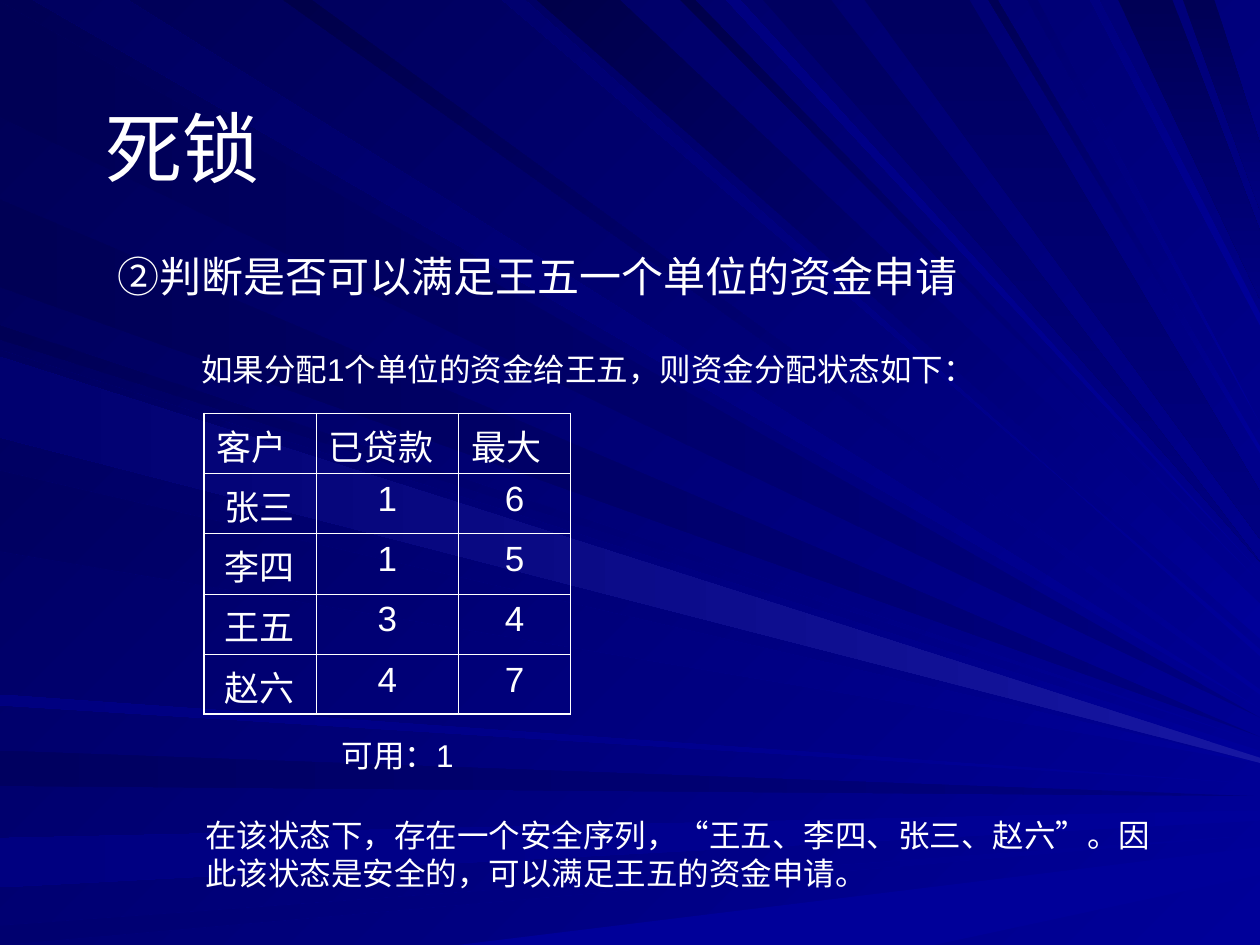
"""Build the deadlock slide: a safe-state check for one more unit lent to a customer."""
from dataclasses import dataclass
from typing import NamedTuple

import lxml.etree
import pptx
import pptx.dml.color
import pptx.enum.lang
import pptx.enum.text
import pptx.oxml.ns
import pptx.util

Pt = pptx.util.Pt
RGB = pptx.dml.color.RGBColor.from_string
ALIGN = pptx.enum.text.PP_ALIGN
FIT = pptx.enum.text.MSO_AUTO_SIZE
qn = pptx.oxml.ns.qn


@dataclass(frozen=True)
class Theme:
    """Colours, fonts, type sizes and line widths."""
    text: str = "FFFFFF"
    glow: str = "1717A2"
    bright: str = "000099"
    mid: str = "000080"
    soft: str = "00006F"
    dusk: str = "000060"
    dark: str = "000055"
    deep: str = "00004A"
    latin: str = "Arial"
    cjk: str = "Noto Sans CJK SC"
    title: float = 44
    body: float = 24
    table: float = 20
    note: float = 18
    outer_line: float = 1.08
    inner_line: float = 0.45


THEME = Theme()
WIDTH, HEIGHT = 720, 540
WEST, NORTHWEST, SOUTH = 180, 135, 270


class Ray(NamedTuple):
    """A beam from a slide edge to one or two heights on the right edge."""
    edge: str
    near: tuple
    far: tuple
    start: str
    end: str
    angle: float = NORTHWEST


class Box(NamedTuple):
    """A position and size in points."""
    left: float
    top: float
    width: float
    height: float


class Note(NamedTuple):
    """A free-standing line of explanation."""
    text: str
    box: Box
    align: object
    space_before: float = 0
    wrap: bool = True


RAYS = [
    Ray("left", (1, 67), (410,), THEME.mid, THEME.dark, WEST),
    Ray("top", (19, 73), (405,), THEME.bright, THEME.dusk),
    Ray("left", (429, 449), (455,), THEME.mid, THEME.dusk, WEST),
    Ray("left", (479, 507), (469, 463), THEME.bright, THEME.mid, WEST),
    Ray("left", (529, 540), (477,), THEME.bright, THEME.soft, WEST),
    Ray("bottom", (262, 534), (500, 484), THEME.bright, THEME.bright, WEST),
    Ray("left", (186, 194), (424,), THEME.bright, THEME.dark),
    Ray("left", (114, 164), (421,), THEME.mid, THEME.dark, WEST),
    Ray("top", (287, 300), (375, 371), THEME.bright, THEME.soft),
    Ray("top", (307, 354), (345, 365), THEME.bright, THEME.deep),
    Ray("top", (389, 397), (333,), THEME.bright, THEME.deep),
    Ray("top", (436, 475), (321,), THEME.dusk, THEME.mid, SOUTH),
    Ray("top", (639, 670), (132, 171), THEME.dark, THEME.mid, SOUTH),
    Ray("top", (676, 694), (82, 120), THEME.dark, THEME.mid, SOUTH),
    Ray("left", (200, 246), (433, 429), THEME.bright, THEME.dusk),
    Ray("left", (269, 315), (436,), THEME.bright, THEME.dusk),
    Ray("left", (397, 403), (448,), THEME.bright, THEME.mid, WEST),
    Ray("top", (162, 178), (394, 397), THEME.bright, THEME.deep),
    Ray("top", (415, 423), (327,), THEME.bright, THEME.mid),
    Ray("top", (494, 554), (281, 308), THEME.dusk, THEME.mid, SOUTH),
    Ray("top", (565, 570), (255, 259), THEME.bright, THEME.dark),
    Ray("top", (587, 593), (242,), THEME.bright, THEME.soft),
    Ray("top", (623, 628), (179, 186), THEME.bright, THEME.mid),
    Ray("left", (204, 250), (436, 433), THEME.glow, THEME.soft, WEST),
]

LOANS = [
    ("客户", "已贷款", "最大"),
    ("张三", "1", "6"),
    ("李四", "1", "5"),
    ("王五", "3", "4"),
    ("赵六", "4", "7"),
]
COLUMN_WIDTHS = (64, 81.5, 64)
ROW_HEIGHT = 34.4

NOTES = [
    Note("可用：1", Box(162, 417, 130.5, 29), ALIGN.CENTER, 11.2),
    Note("如果分配1个单位的资金给王五，则资金分配状态如下：", Box(103.5, 196.5, 465, 29), ALIGN.CENTER, wrap=False),
    Note("在该状态下，存在一个安全序列，“王五、李四、张三、赵六”。因此该状态是安全的，可以满足王五的资金申请。",
         Box(110.2, 463, 567.5, 50.5), ALIGN.LEFT, 11.2),
]


def paint(fill, start: str, end: str, angle: float) -> None:
    """Fill with a linear gradient."""
    fill.gradient()
    fill.gradient_angle = angle
    for stop, colour in zip(fill.gradient_stops, (start, end)):
        stop.color.rgb = RGB(colour)


def edge_point(edge: str, distance: float) -> tuple:
    """Return the point at a distance along the left, top or bottom edge."""
    if edge == "left":
        return Pt(0), Pt(distance)
    return Pt(distance), Pt(0 if edge == "top" else HEIGHT)


def draw_rays(slide) -> None:
    """Draw the beams as one group behind everything else."""
    backdrop = slide.shapes.add_group_shape()
    for ray in RAYS:
        first, second = [edge_point(ray.edge, distance) for distance in ray.near]
        builder = backdrop.shapes.build_freeform(*first)
        builder.add_line_segments([second, *((Pt(WIDTH), Pt(y)) for y in ray.far)], close=True)
        beam = builder.convert_to_shape()
        beam.shadow.inherit = False
        beam.line.fill.background()
        paint(beam.fill, ray.start, ray.end, ray.angle)
    backdrop.element.getparent().insert(2, backdrop.element)


def style(paragraph, size: float, align, space_before: float = 0) -> None:
    """Format a paragraph and all of its runs."""
    paragraph.alignment = align
    paragraph.space_before = Pt(space_before)
    for run in paragraph.runs:
        run.font.size = Pt(size)
        run.font.color.rgb = RGB(THEME.text)
        run.font.name = THEME.latin
        run.font.language_id = pptx.enum.lang.MSO_LANGUAGE_ID.SIMPLIFIED_CHINESE
        lxml.etree.SubElement(run.font._element, qn("a:ea"), typeface=THEME.cjk)


def place(shape, box: Box) -> None:
    """Move and size a shape."""
    shape.left, shape.top, shape.width, shape.height = map(Pt, box)


def draw_border(cell, side: str, width: float) -> None:
    """Add one side's border line to a table cell."""
    line = lxml.etree.SubElement(cell._tc.get_or_add_tcPr(), qn(f"a:ln{side}"), w=str(Pt(width)))
    solid = lxml.etree.SubElement(line, qn("a:solidFill"))
    lxml.etree.SubElement(solid, qn("a:srgbClr"), val=THEME.text)


def draw_loans(slide) -> None:
    """Draw the table of loans with a heavier outer frame."""
    box = Box(116.6, 236.2, sum(COLUMN_WIDTHS), ROW_HEIGHT * len(LOANS))
    last_row, last_column = len(LOANS) - 1, len(COLUMN_WIDTHS) - 1
    loans = slide.shapes.add_table(last_row + 1, last_column + 1, *map(Pt, box)).table
    loans.first_row = loans.horz_banding = False
    for column, width in zip(loans.columns, COLUMN_WIDTHS):
        column.width = Pt(width)
    for r, record in enumerate(LOANS):
        for c, entry in enumerate(record):
            cell = loans.cell(r, c)
            cell.text_frame.text = entry
            style(cell.text_frame.paragraphs[0], THEME.table, ALIGN.CENTER if r else ALIGN.LEFT, 5)
            outer = {"L": c == 0, "R": c == last_column, "T": r == 0, "B": r == last_row}
            for side, is_outer in outer.items():
                draw_border(cell, side, THEME.outer_line if is_outer else THEME.inner_line)
            cell.fill.background()


def draw_note(slide, note: Note) -> None:
    """Draw one explanatory text box."""
    frame = slide.shapes.add_textbox(*map(Pt, note.box)).text_frame
    frame.word_wrap = note.wrap
    frame.auto_size = FIT.SHAPE_TO_FIT_TEXT
    frame.text = note.text
    style(frame.paragraphs[0], THEME.note, note.align, note.space_before)


def fill_placeholders(slide) -> None:
    """Write the title and the question in the layout's placeholders."""
    title, question = slide.shapes.title, slide.placeholders[1]
    place(title, Box(53.3, 38.9, 648, 90))
    title.text_frame.text = "死锁"
    title.text_frame.auto_size = FIT.NONE
    title.text_frame.vertical_anchor = pptx.enum.text.MSO_ANCHOR.MIDDLE
    style(title.text_frame.paragraphs[0], THEME.title, ALIGN.LEFT)

    place(question, Box(59.8, 139.7, 623.5, 36))
    question.text_frame.text = "②"
    question.text_frame.auto_size = FIT.SHAPE_TO_FIT_TEXT
    line = question.text_frame.paragraphs[0]
    line.add_run().text = "判断是否可以满足王五一个单位的资金申请"
    style(line, THEME.body, ALIGN.LEFT, 15)
    line.runs[0].font.name = THEME.cjk
    properties = line._p.get_or_add_pPr()
    properties.set("marL", "0")
    properties.set("indent", "0")
    lxml.etree.SubElement(properties, qn("a:buNone"))


def main() -> None:
    """Build and save the slide."""
    deck = pptx.Presentation()
    deck.slide_width, deck.slide_height = Pt(WIDTH), Pt(HEIGHT)
    slide = deck.slides.add_slide(deck.slide_layouts[1])
    paint(slide.background.fill, THEME.bright, THEME.dark, NORTHWEST)
    draw_rays(slide)
    fill_placeholders(slide)
    draw_loans(slide)
    for note in NOTES:
        draw_note(slide, note)
    deck.save("out.pptx")


if __name__ == "__main__":
    main()
